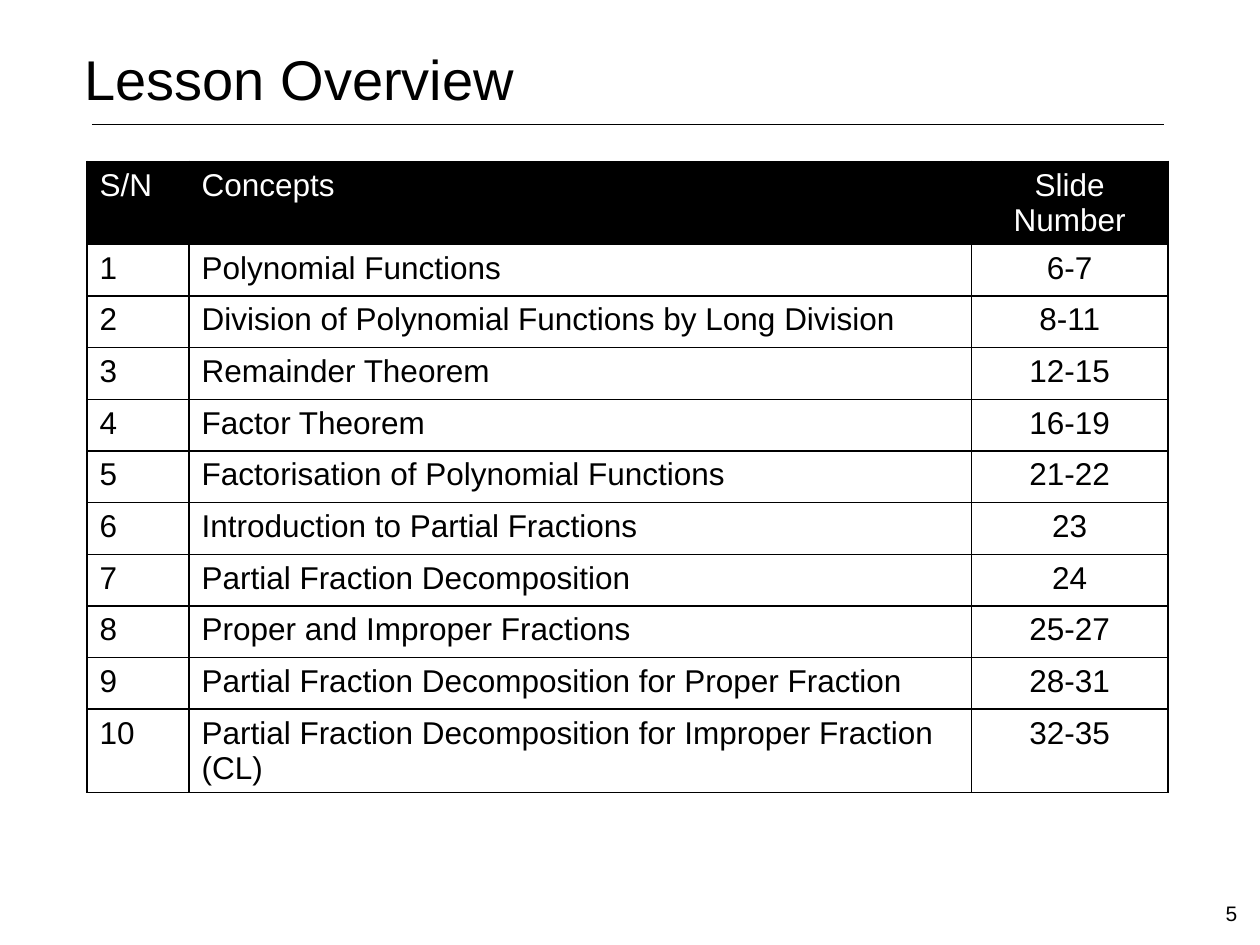
from typing import NamedTuple

from lxml.etree import SubElement
from pptx import Presentation
from pptx.dml.color import RGBColor
from pptx.enum.shapes import MSO_CONNECTOR
from pptx.enum.text import MSO_ANCHOR, PP_ALIGN
from pptx.oxml.ns import qn
from pptx.util import Inches, Pt

BLACK = RGBColor(0x00, 0x00, 0x00)
WHITE = RGBColor(0xFF, 0xFF, 0xFF)
FONT = "Arial"
COLUMN_WIDTHS = (0.81, 6.21, 1.56)
HEADER_HEIGHT, ROW_HEIGHT = 0.48, 0.41


class Lesson(NamedTuple):
    number: str
    concept: str
    slides: str


HEADER = Lesson("S/N", "Concepts", "Slide Number")
TOPICS = (
    ("Polynomial Functions", "6-7"),
    ("Division of Polynomial Functions by Long Division", "8-11"),
    ("Remainder Theorem", "12-15"),
    ("Factor Theorem", "16-19"),
    ("Factorisation of Polynomial Functions", "21-22"),
    ("Introduction to Partial Fractions", "23"),
    ("Partial Fraction Decomposition", "24"),
    ("Proper and Improper Fractions", "25-27"),
    ("Partial Fraction Decomposition for Proper Fraction", "28-31"),
    ("Partial Fraction Decomposition for Improper Fraction (CL)", "32-35"),
)
LESSONS = [Lesson(str(number), *topic) for number, topic in enumerate(TOPICS, 1)]


def write(text_frame, text: str, size: float, color: RGBColor = BLACK,
          align: PP_ALIGN = PP_ALIGN.LEFT) -> None:
    """Fill a text frame with one formatted paragraph."""
    paragraph = text_frame.paragraphs[0]
    paragraph.alignment = align
    run = paragraph.add_run()
    run.text = text
    run.font.color.rgb = color
    for name, value in {"name": FONT, "size": Pt(size), "bold": False}.items():
        setattr(run.font, name, value)


def draw_borders(cell) -> None:
    """Give a cell a thin black line on each side, placed before its fill."""
    properties = cell._tc.get_or_add_tcPr()
    for position, side in enumerate(("lnL", "lnR", "lnT", "lnB")):
        line = SubElement(properties, qn(f"a:{side}"), w=str(Pt(1)))
        fill = SubElement(line, qn("a:solidFill"))
        SubElement(fill, qn("a:srgbClr"), val=str(BLACK))
        properties.insert(position, line)


def draw_row(table, index: int, lesson: Lesson) -> None:
    is_header = index == 0
    table.rows[index].height = Inches(HEADER_HEIGHT if is_header else ROW_HEIGHT)
    for column, text in enumerate(lesson):
        cell = table.cell(index, column)
        if is_header:
            cell.fill.solid()
            cell.fill.fore_color.rgb = BLACK
        else:
            cell.fill.background()
        write(cell.text_frame, text, 18, WHITE if is_header else BLACK,
              PP_ALIGN.CENTER if column == 2 else PP_ALIGN.LEFT)
        draw_borders(cell)


def main() -> None:
    presentation = Presentation()
    presentation.slide_width, presentation.slide_height = Inches(10), Inches(7.5)
    slide = presentation.slides.add_slide(presentation.slide_layouts[5])

    # Title
    title = slide.shapes.title
    placement = {"left": 0.57, "top": 0.3, "width": 8.89, "height": 1.25}
    for name, value in placement.items():
        setattr(title, name, Inches(value))
    title.text_frame.vertical_anchor = MSO_ANCHOR.TOP
    write(title.text_frame, "Lesson Overview", 32)

    # Rule under the title
    rule = slide.shapes.add_connector(
        MSO_CONNECTOR.STRAIGHT, Inches(0.73), Inches(0.99), Inches(9.24), Inches(0.99))
    rule.line.color.rgb = BLACK
    rule.line.width = Pt(0.25)
    SubElement(rule._element.spPr, qn("a:effectLst"))

    # Lesson table
    rows = [HEADER, *LESSONS]
    table = slide.shapes.add_table(
        len(rows), len(COLUMN_WIDTHS), Inches(0.69), Inches(1.28),
        Inches(sum(COLUMN_WIDTHS)), Inches(5.05)).table
    table.horz_banding = False
    for column, width in zip(table.columns, COLUMN_WIDTHS):
        column.width = Inches(width)
    for index, lesson in enumerate(rows):
        draw_row(table, index, lesson)

    # Slide number
    number_box = slide.shapes.add_textbox(
        Inches(9.63), Inches(7.1), Inches(0.37), Inches(0.4))
    number_box.text_frame.word_wrap = True
    write(number_box.text_frame, "5", 12)

    presentation.save("out.pptx")


if __name__ == "__main__":
    main()
